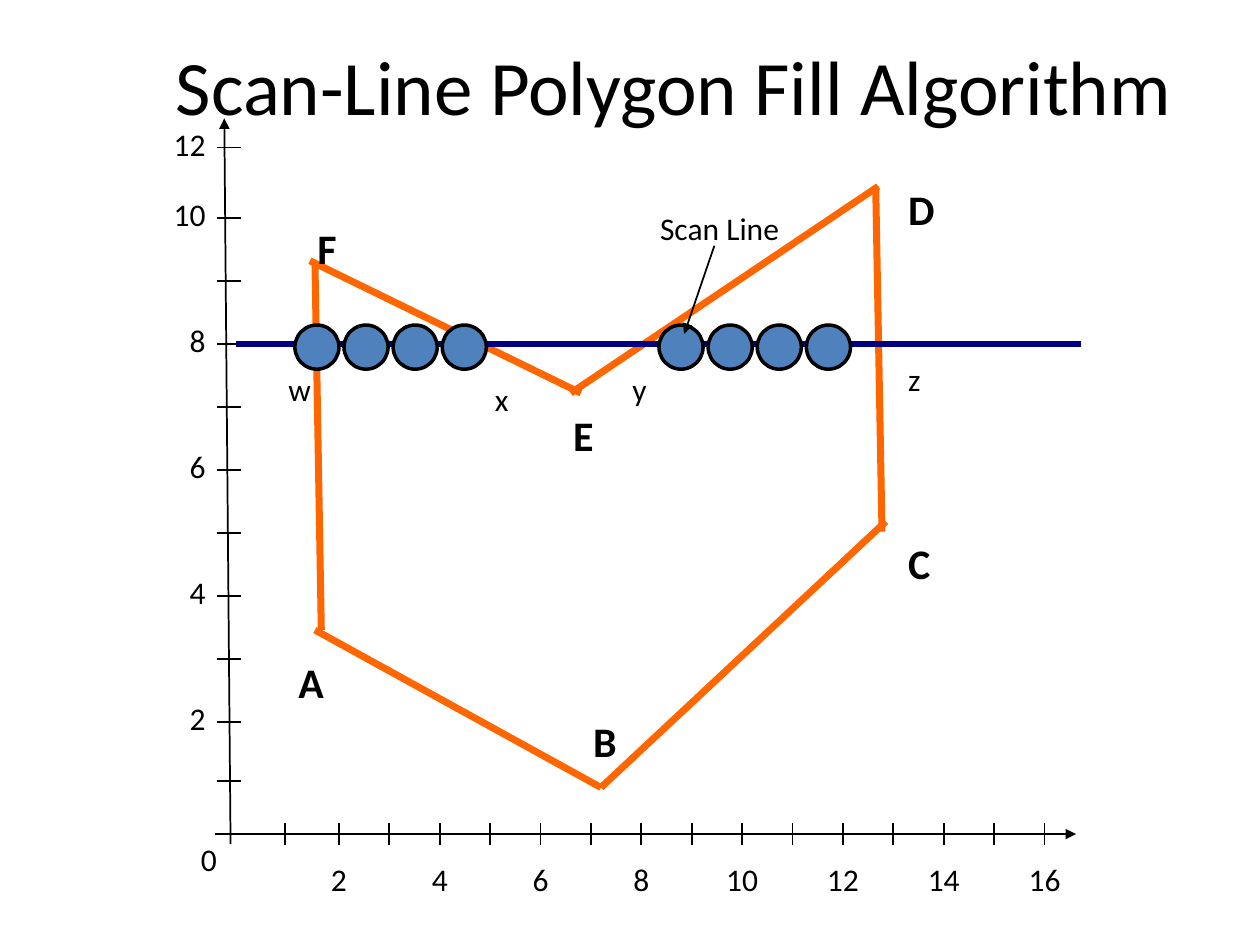
from collections import namedtuple

from lxml import etree
from pptx import Presentation
from pptx import util as u
from pptx.dml import color
from pptx.enum import shapes, text
from pptx.oxml import ns

Box = namedtuple("Box", "left top width height")
FONT = "Calibri"
BLACK, ORANGE, NAVY, BLUE = "000000", "FF6600", "000080", "4F81BD"
ALIGN = text.PP_ALIGN

EDGES = [
    ((1.3, 1.21), (1.35, 4.1)),
    ((1.26, 1.17), (3.41, 2.22)),
    ((3.33, 2.22), (5.77, 0.58)),
    ((5.8, 3.32), (5.75, 0.58)),
    ((3.57, 5.35), (1.3, 4.1)),
    ((3.57, 5.35), (5.83, 3.24)),
]
VERTICES = {"A": (1.07, 4.26), "B": (3.41, 4.73), "C": (5.91, 3.32),
            "D": (5.91, 0.51), "E": (3.25, 2.3), "F": (1.22, 0.82)}
CROSSINGS = {"w": (0.99, 1.99), "x": (2.63, 2.07),
             "y": (3.72, 1.99), "z": (5.91, 1.91)}
Y_TICKS = [5.3] + [4.83 - 0.5 * step for step in range(9)] + [0.27]
Y_LABELS = dict(zip(range(2, 13, 2), Y_TICKS[1::2] + Y_TICKS[-1:]))
X_TICKS = [1.06] + [1.49 + 0.4 * step for step in range(15)]
X_LABELS = dict(zip(range(2, 17, 2), X_TICKS[1::2]))


def rgb(value):
    return color.RGBColor.from_string(value)


def add_run(paragraph, content, size, bold=False):
    run = paragraph.add_run()
    run.text = content
    run.font.name = FONT
    run.font.size = u.Pt(size)
    run.font.bold = bold
    run.font.color.rgb = rgb(BLACK)


def add_line(slide, box, start, end, line_color=BLACK, weight=1, arrow=False):
    connector = slide.shapes.add_connector(
        shapes.MSO_CONNECTOR.STRAIGHT,
        u.Inches(box.left + start[0]), u.Inches(box.top + start[1]),
        u.Inches(box.left + end[0]), u.Inches(box.top + end[1]))
    connector.line.color.rgb = rgb(line_color)
    connector.line.width = u.Pt(weight)
    if arrow:
        etree.SubElement(connector.line._get_or_add_ln(), ns.qn("a:tailEnd"), type="triangle")
    etree.SubElement(connector._element.spPr, ns.qn("a:effectLst"))


def add_label(slide, box, content, position, width=0.4, height=0.4,
              size=18, bold=False, align=ALIGN.LEFT):
    label = slide.shapes.add_textbox(
        u.Inches(box.left + position[0]), u.Inches(box.top + position[1]),
        u.Inches(width), u.Inches(height))
    label.text_frame.word_wrap = True
    paragraph = label.text_frame.paragraphs[0]
    paragraph.alignment = align
    add_run(paragraph, content, size, bold)


def add_title(slide, box, content):
    title = slide.shapes.title
    title.left, title.top, title.width, title.height = map(u.Inches, box)
    title.text_frame.vertical_anchor = text.MSO_ANCHOR.MIDDLE
    paragraph = title.text_frame.paragraphs[0]
    paragraph.alignment = ALIGN.CENTER
    add_run(paragraph, content, 44)


def add_axes(slide, box):
    add_line(slide, box, (0.63, 5.8), (0.58, 0.04), arrow=True)
    add_line(slide, box, (0.51, 5.72), (7.34, 5.72), arrow=True)
    for y in Y_TICKS:
        add_line(slide, box, (0.52, y), (0.71, y))
    for x in X_TICKS:
        add_line(slide, box, (x, 5.63), (x, 5.81))
    for value, y in Y_LABELS.items():
        add_label(slide, box, str(value), (0.05, y - 0.23), 0.48, align=ALIGN.RIGHT)
    for value, x in X_LABELS.items():
        add_label(slide, box, str(value), (x - 0.24, 5.88), 0.48, align=ALIGN.CENTER)
    add_label(slide, box, "0", (0.28, 5.72), 0.34, align=ALIGN.RIGHT)


def add_polygon(slide, box):
    for start, end in EDGES:
        add_line(slide, box, start, end, ORANGE, 4)
    for name, position in VERTICES.items():
        add_label(slide, box, name, position, height=0.5, size=24, bold=True)


def add_scan_line(slide, box):
    add_line(slide, box, (0.67, 1.83), (7.38, 1.83), NAVY, 3)
    for span_left in (1.14, 4.03):
        for step in range(4):
            pixel = slide.shapes.add_shape(
                shapes.MSO_SHAPE.OVAL,
                u.Inches(box.left + span_left + 0.39 * step),
                u.Inches(box.top + 1.68), u.Inches(0.35), u.Inches(0.35))
            pixel.shadow.inherit = False
            pixel.fill.solid()
            pixel.fill.fore_color.rgb = rgb(BLUE)
            pixel.line.color.rgb = rgb(BLACK)
            pixel.line.width = u.Pt(2)
    for name, position in CROSSINGS.items():
        add_label(slide, box, name, position)
    add_label(slide, box, "Scan Line", (3.94, 0.71), 1.31)
    add_line(slide, box, (4.47, 1.05), (4.23, 1.75), arrow=True)


def main():
    presentation = Presentation()
    presentation.slide_width = u.Inches(10)
    presentation.slide_height = u.Inches(7.5)
    slide = presentation.slides.add_slide(presentation.slide_layouts[5])
    plot = Box(1.2, 0.9, 7.4, 6.3)
    add_title(slide, Box(0.7, 0, 9.3, 1.35), "Scan-Line Polygon Fill Algorithm")
    add_polygon(slide, plot)
    add_axes(slide, plot)
    add_scan_line(slide, plot)
    presentation.save("out.pptx")


if __name__ == "__main__":
    main()
